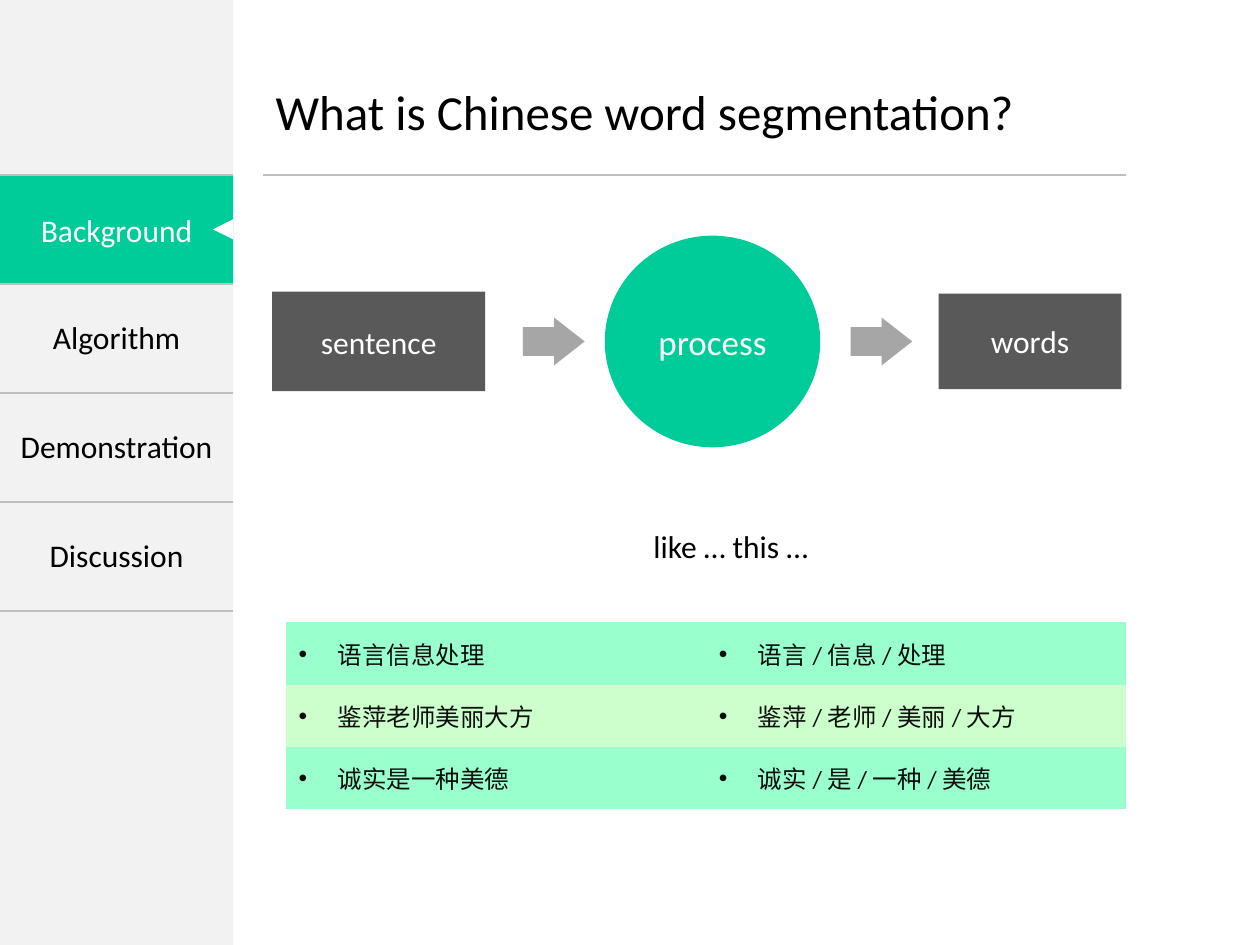
from lxml import etree
from pptx import Presentation
from pptx import util as u
from pptx.dml.color import RGBColor
from pptx.enum import shapes, text
from pptx.oxml import ns

COLORS = {
    "black": "000000", "ink": "0D0D0D", "white": "FFFFFF", "sidebar": "F2F2F2",
    "rule": "BFBFBF", "accent": "00CC99", "box": "595959", "arrow": "A6A6A6",
    "mint": "99FFCD", "lime": "CDFFCC",
}
NO_STYLE = "{2D5ABB26-0587-4C30-8999-92F81FD0307C}"
SHAPE = shapes.MSO_SHAPE
CENTER, LEFT = text.PP_ALIGN.CENTER, text.PP_ALIGN.LEFT
MIDDLE = text.MSO_ANCHOR.MIDDLE

deck = Presentation()
deck.slide_width, deck.slide_height = u.Inches(10), u.Inches(7.5)
slide = deck.slides.add_slide(deck.slide_layouts[6])
canvas = slide.shapes

# The slide is a grid of 100 columns by 75 rows of square cells.
CELL = deck.slide_width // 100
NAV_WIDTH, NAV_TOP, NAV_ROW = 18.5, 13.9, 8.65
CONTENT_LEFT, CONTENT_RIGHT = 20.9, 89.4
FLOW_MIDDLE = 27.1


def grid(*cells):
    """Turn grid columns and rows into slide lengths."""
    return [u.Emu(round(n * CELL)) for n in cells]


def write(frame, words, size, color, align=CENTER):
    paragraph = frame.paragraphs[0]
    paragraph.alignment = align
    run = paragraph.add_run()
    run.text = words
    run.font.size = u.Pt(size)
    run.font.name = "Calibri"
    run.font.color.rgb = RGBColor.from_string(COLORS[color])
    return paragraph


# Sidebar, flow and section marker: kind, left, middle, width, height, fill, label, size
middle_of_tab = NAV_TOP + NAV_ROW / 2
blocks = [
    (SHAPE.RECTANGLE, 0, 37.5, NAV_WIDTH, 75, "sidebar", "", 0),
    (SHAPE.RECTANGLE, 0, middle_of_tab, NAV_WIDTH, NAV_ROW, "accent", "Background", 18),
    (SHAPE.ISOSCELES_TRIANGLE, 16.9, 18.2, 1.6, 1.6, "white", "", 0),
    (SHAPE.RECTANGLE, 21.6, FLOW_MIDDLE, 16.9, 7.9, "box", "sentence", 18),
    (SHAPE.RIGHT_ARROW, 41.5, FLOW_MIDDLE, 4.9, 3.8, "arrow", "", 0),
    (SHAPE.OVAL, 48, FLOW_MIDDLE, 17.1, 16.8, "accent", "process", 20),
    (SHAPE.RIGHT_ARROW, 67.5, FLOW_MIDDLE, 4.9, 3.8, "arrow", "", 0),
    (SHAPE.RECTANGLE, 74.5, FLOW_MIDDLE, 14.5, 7.6, "box", "words", 18),
]
for kind, left, middle, width, height, fill, label, size in blocks:
    block = canvas.add_shape(kind, *grid(left, middle - height / 2, width, height))
    block.shadow.inherit = False
    block.fill.solid()
    block.fill.fore_color.rgb = RGBColor.from_string(COLORS[fill])
    block.line.fill.background()
    if kind == SHAPE.RIGHT_ARROW:
        block.adjustments[0], block.adjustments[1] = 0.6, 0.64
    if kind == SHAPE.ISOSCELES_TRIANGLE:
        block.rotation = 270
    if label:
        block.text_frame.vertical_anchor = MIDDLE
        write(block.text_frame, label, size, "white")

title_rule = canvas.add_connector(
    shapes.MSO_CONNECTOR.STRAIGHT, *grid(CONTENT_LEFT, NAV_TOP, CONTENT_RIGHT, NAV_TOP))
title_rule.line.color.rgb = RGBColor.from_string(COLORS["rule"])
title_rule.line.width = u.Pt(0.75)
etree.SubElement(title_rule._element.spPr, ns.qn("a:effectLst"))

for words, box, size, align in [
    ("What is Chinese word segmentation?", (CONTENT_LEFT, 6, 69.3, 5.7), 28, LEFT),
    ("like … this …", (42.9, 41.3, 30.2, 4), 18, CENTER),
]:
    caption = canvas.add_textbox(*grid(*box)).text_frame
    caption.word_wrap = True
    write(caption, words, size, "black", align)

sections = [[""], ["Algorithm"], ["Demonstration"], ["Discussion"]]
examples = [
    ["语言信息处理", "语言 / 信息 / 处理"],
    ["鉴萍老师美丽大方", "鉴萍 / 老师 / 美丽 / 大方"],
    ["诚实是一种美德", "诚实 / 是 / 一种 / 美德"],
]
for rows, box, is_nav in [
    (sections, (0, NAV_TOP, NAV_WIDTH, NAV_ROW * len(sections)), True),
    (examples, (22.7, 49.4, 66.7, 14.8), False),
]:
    table = canvas.add_table(len(rows), len(rows[0]), *grid(*box)).table
    table.first_row = table.horz_banding = False
    table._tbl.tblPr.find(ns.qn("a:tableStyleId")).text = NO_STYLE
    for r, row in enumerate(rows):
        for c, words in enumerate(row):
            cell = table.cell(r, c)
            cell.vertical_anchor = MIDDLE
            if is_nav:
                for edge in ("a:lnT", "a:lnB"):
                    border = etree.SubElement(
                        cell._tc.get_or_add_tcPr(), ns.qn(edge), w=str(u.Pt(1)))
                    paint = etree.SubElement(border, ns.qn("a:solidFill"))
                    etree.SubElement(paint, ns.qn("a:srgbClr"), val=COLORS["rule"])
                cell.fill.background()
                if words:
                    write(cell.text_frame, words, 18, "black")
            else:
                cell.fill.solid()
                cell.fill.fore_color.rgb = RGBColor.from_string(
                    COLORS["lime" if r % 2 else "mint"])
                item = write(cell.text_frame, words, 14, "ink", LEFT)
                props = item._p.get_or_add_pPr()
                indent = grid(3.1)[0]
                props.set("marL", str(indent))
                props.set("indent", str(-indent))
                etree.SubElement(props, ns.qn("a:buFont"), typeface="Arial")
                etree.SubElement(props, ns.qn("a:buChar"), char="•")

deck.save("out.pptx")
